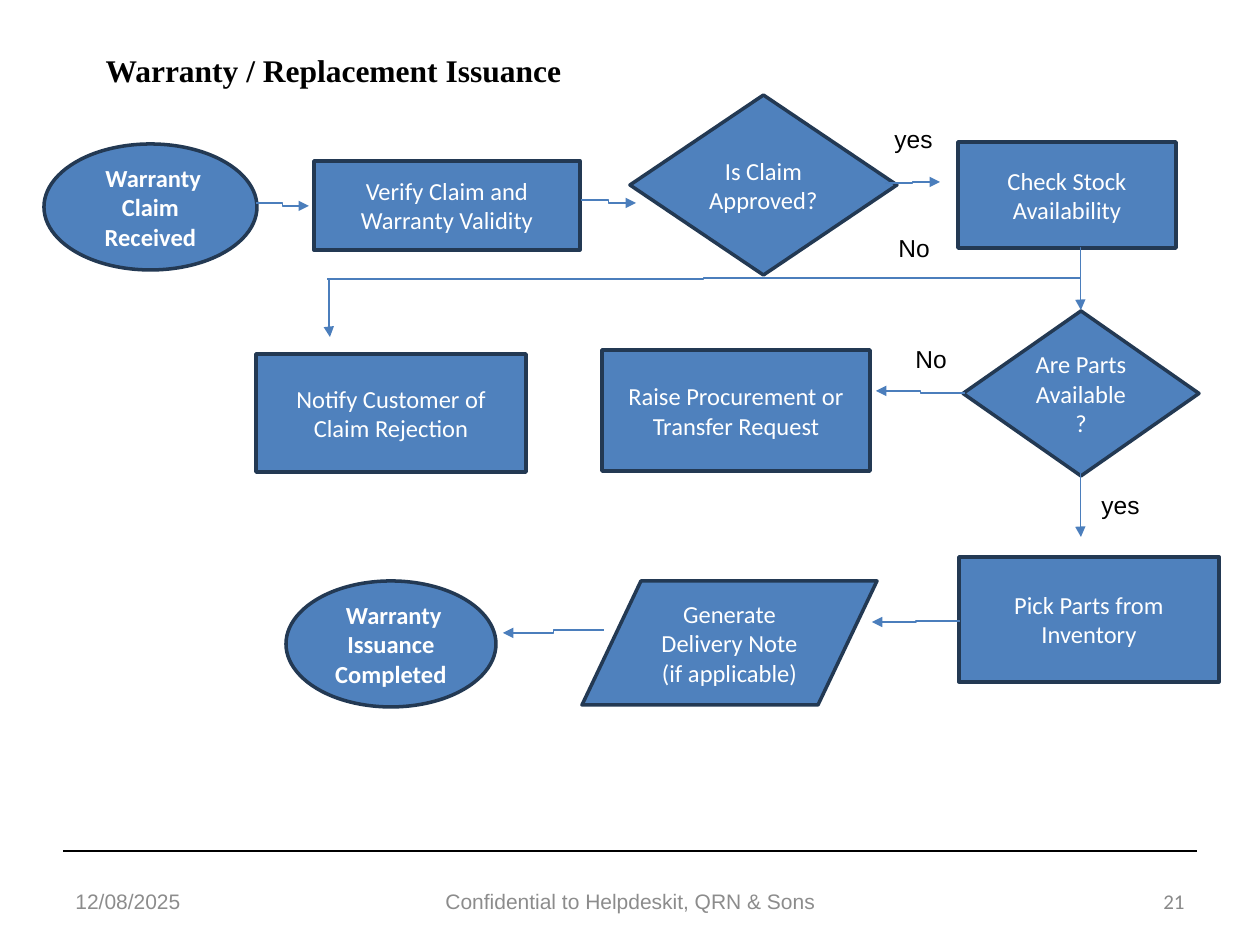
from lxml.etree import SubElement
from pptx import Presentation
from pptx.dml.color import RGBColor
from pptx.enum.shapes import MSO_CONNECTOR, MSO_SHAPE
from pptx.enum.text import MSO_ANCHOR, PP_ALIGN
from pptx.oxml.ns import qn
from pptx.util import Pt

EMU_PER_PX = 914400 / 126
PAGE_WIDTH, PAGE_HEIGHT = 1260, 945
COLOURS = {
    "fill": "4F81BD",
    "outline": "233953",
    "arrow": "4B7EBC",
    "white": "FFFFFF",
    "black": "000000",
    "footer": "8C8C8C",
    "number": "898989",
}


def px(*lengths):
    return [round(length * EMU_PER_PX) for length in lengths]


def colour(name):
    return RGBColor.from_string(COLOURS[name])


class FlowchartPage:
    def __init__(self, deck):
        self.page = deck.slides.add_slide(deck.slide_layouts[5])
        self.shapes = self.page.shapes

    def set_text(self, shape, text, size, font, ink, bold=False,
                 align=PP_ALIGN.LEFT, anchor=MSO_ANCHOR.TOP):
        frame = shape.text_frame
        frame.word_wrap = True
        frame.vertical_anchor = anchor
        para = frame.paragraphs[0]
        para.text = text
        para.alignment = align
        para.font.size = Pt(size)
        para.font.name = font
        para.font.bold = bold
        para.font.color.rgb = colour(ink)

    def title(self, text, left, top, width, height):
        title = self.shapes.title
        title.left, title.top, title.width, title.height = px(left, top, width, height)
        self.set_text(title, text, 18, "Times New Roman", "black", bold=True)

    def step(self, kind, text, left, top, width, height):
        step = self.shapes.add_shape(kind, *px(left, top, width, height))
        step.shadow.inherit = False
        step.fill.solid()
        step.fill.fore_color.rgb = colour("fill")
        step.line.color.rgb = colour("outline")
        step.line.width = Pt(2)
        self.set_text(step, text, 14, "Calibri", "white", bold=kind == MSO_SHAPE.OVAL,
                      align=PP_ALIGN.CENTER, anchor=MSO_ANCHOR.MIDDLE)

    def label(self, text, left, top):
        width = min(378, PAGE_WIDTH - left)
        box = self.shapes.add_textbox(*px(left, top, width, 43))
        self.set_text(box, text, 14, "Arial", "black")

    def footer(self, text, left, width, align, font="Arial", ink="footer"):
        box = self.shapes.add_textbox(*px(left, 876, width, 50))
        self.set_text(box, text, 12, font, ink, align=align, anchor=MSO_ANCHOR.MIDDLE)

    def line(self, start, end, kind=MSO_CONNECTOR.ELBOW, ink="arrow", arrow=True):
        line = self.shapes.add_connector(kind, *px(*start, *end))
        line.line.color.rgb = colour(ink)
        line.line.width = Pt(0.75)
        properties = line._element.spPr
        if arrow:
            SubElement(properties.find(qn("a:ln")), qn("a:tailEnd"), type="triangle")
        SubElement(properties, qn("a:effectLst"))


def main():
    deck = Presentation()
    deck.slide_width, deck.slide_height = px(PAGE_WIDTH, PAGE_HEIGHT)
    chart = FlowchartPage(deck)

    chart.line((63, 851), (1197, 851), MSO_CONNECTOR.STRAIGHT, "black", arrow=False)
    chart.footer("12/08/2025", 63, 294, PP_ALIGN.LEFT)
    chart.footer("Confidential to Helpdeskit, QRN & Sons", 431, 399, PP_ALIGN.CENTER)
    chart.footer("21", 903, 294, PP_ALIGN.RIGHT, "Calibri", "number")

    oval, box, decision = MSO_SHAPE.OVAL, MSO_SHAPE.RECTANGLE, MSO_SHAPE.DIAMOND
    steps = [
        (oval, " Warranty Claim Received", 44, 144, 213, 126),
        (box, "Verify Claim and Warranty Validity", 314, 161, 266, 89),
        (decision, "Is Claim Approved?", 630, 95, 267, 180),
        (box, "Check Stock Availability", 958, 142, 218, 106),
        (decision, "Are Parts Available?", 963, 311, 236, 165),
        (box, "Pick Parts from Inventory", 959, 557, 260, 125),
        (MSO_SHAPE.FLOWCHART_DATA, "Generate Delivery Note (if applicable)",
         582, 581, 295, 124),
        (oval, " Warranty Issuance Completed", 286, 581, 210, 126),
        (box, "Notify Customer of Claim Rejection", 256, 354, 270, 118),
        (box, "Raise Procurement or Transfer Request", 602, 350, 268, 121),
    ]
    for step in steps:
        chart.step(*step)

    arrows = [
        ((256, 203), (309, 206)),
        ((581, 200), (636, 203)),
        ((885, 183), (940, 182)),
        ((1080, 248), (1081, 310)),
        ((1080, 473), (1081, 537)),
        ((965, 393), (876, 391)),
        ((328, 279), (330, 337)),
        ((960, 621), (872, 622)),
        ((604, 630), (503, 633)),
    ]
    for start, end in arrows:
        chart.line(start, end)
    chart.line((1080, 278), (327, 279), arrow=False)

    for text, left, top in [("yes", 882, 118), ("yes", 1089, 484),
                            ("No", 886, 227), ("No", 903, 338)]:
        chart.label(text, left, top)

    chart.title("Warranty / Replacement Issuance", 93, 45, 542, 50)
    deck.save("out.pptx")


if __name__ == "__main__":
    main()
